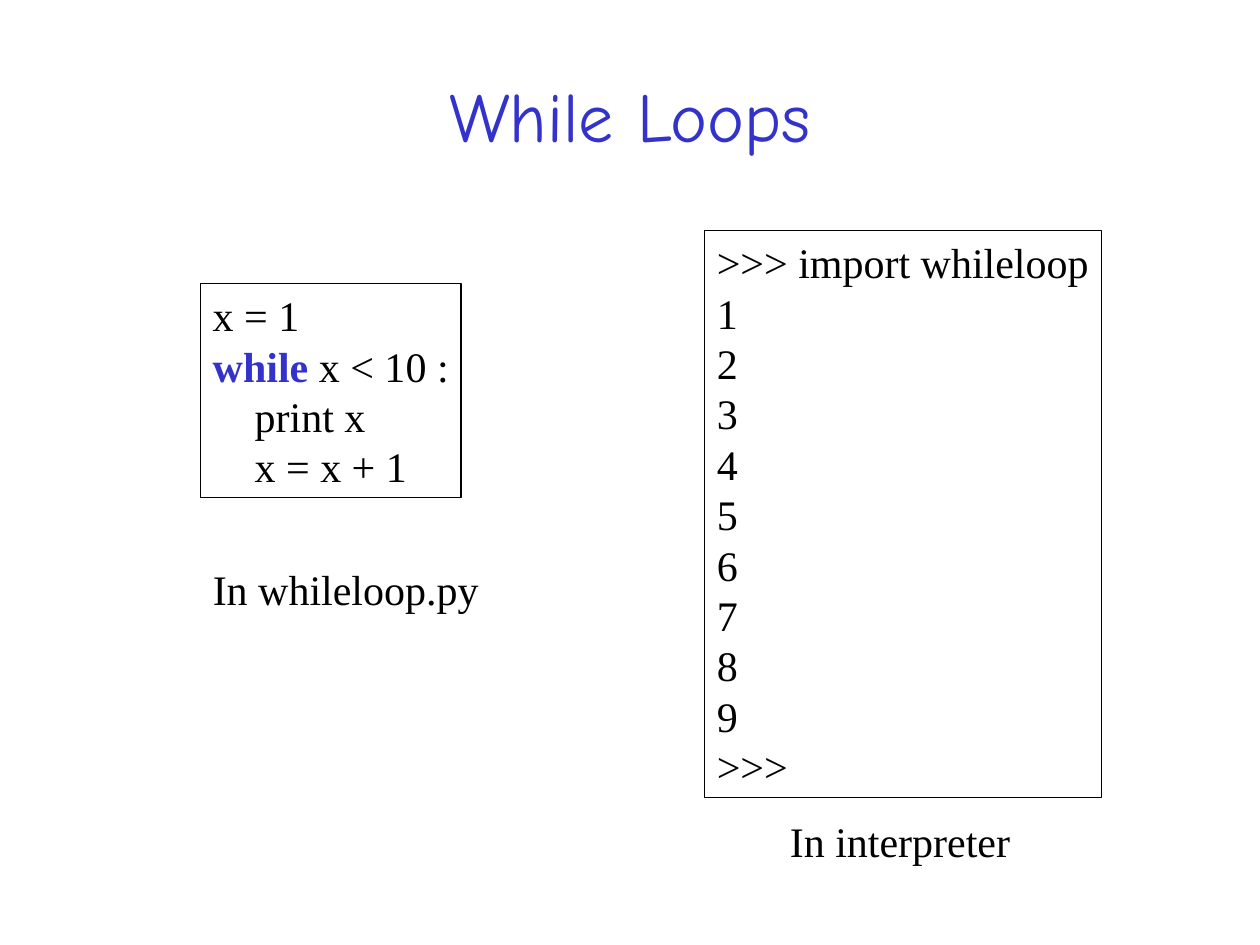
from pptx import Presentation
from pptx.dml.color import RGBColor as RGB
from pptx.enum.shapes import MSO_SHAPE as Shape
from pptx.enum.text import MSO_ANCHOR as Anchor, MSO_AUTO_SIZE as AutoSize, PP_ALIGN as Align
from pptx.util import Inches, Pt

COLORS = {"ink": "000000", "accent": "3333CC"}


class LoopSlide:
    title_font = "Comic Neue"
    body_font = "Times New Roman"
    title_size = 40
    body_size = 24
    line_pitch = 28.8

    def __init__(self, deck):
        self.slide = deck.slides.add_slide(deck.slide_layouts[6])

    def add_run(self, paragraph, text, font, size, color="ink", bold=False):
        run = paragraph.add_run()
        run.text = text
        run.font.name = font
        run.font.size = Pt(size)
        run.font.bold = bold
        run.font.color.rgb = RGB.from_string(COLORS[color])

    def title(self, text, left, top, width, height):
        heading = self.slide.shapes.add_textbox(*map(Inches, (left, top, width, height)))
        frame = heading.text_frame
        frame.word_wrap = True
        frame.vertical_anchor = Anchor.MIDDLE
        paragraph = frame.paragraphs[0]
        paragraph.alignment = Align.CENTER
        self.add_run(paragraph, text, self.title_font, self.title_size, "accent")

    def write_lines(self, frame, lines):
        frame.word_wrap = False
        frame.auto_size = AutoSize.SHAPE_TO_FIT_TEXT
        frame.vertical_anchor = Anchor.TOP
        for index, line in enumerate(lines):
            paragraph = frame.add_paragraph() if index else frame.paragraphs[0]
            paragraph.alignment = Align.LEFT
            paragraph.line_spacing = Pt(self.line_pitch)
            for text, *style in line:
                self.add_run(paragraph, text, self.body_font, self.body_size, *style)

    def code_box(self, lines, left, top, width, height):
        box = self.slide.shapes.add_shape(
            Shape.RECTANGLE, *map(Inches, (left, top, width, height)))
        box.shadow.inherit = False
        box.fill.background()
        box.line.color.rgb = RGB.from_string(COLORS["ink"])
        box.line.width = Pt(0.75)
        self.write_lines(box.text_frame, lines)

    def caption(self, text, left, top, width, height=0.5):
        label = self.slide.shapes.add_textbox(*map(Inches, (left, top, width, height)))
        self.write_lines(label.text_frame, [[(text,)]])


def main():
    deck = Presentation()
    deck.slide_width, deck.slide_height = Inches(10), Inches(7.5)
    page = LoopSlide(deck)

    page.title("While Loops", 0.75, 0.36, 8.5, 1.1)

    source_code = [
        [("x = 1",)],
        [("while", "accent", True), (" x < 10 :",)],
        [("    print x",)],
        [("    x = x + 1",)],
    ]
    page.code_box(source_code, 1.59, 2.25, 2.07, 1.7)

    session = [">>> import whileloop", *map(str, range(1, 10)), ">>>"]
    page.code_box([[(line,)] for line in session], 5.59, 1.83, 3.15, 4.5)

    page.caption("In whileloop.py", 1.59, 4.42, 2.31)
    page.caption("In interpreter", 6.17, 6.42, 1.95)

    deck.save("out.pptx")


if __name__ == "__main__":
    main()
